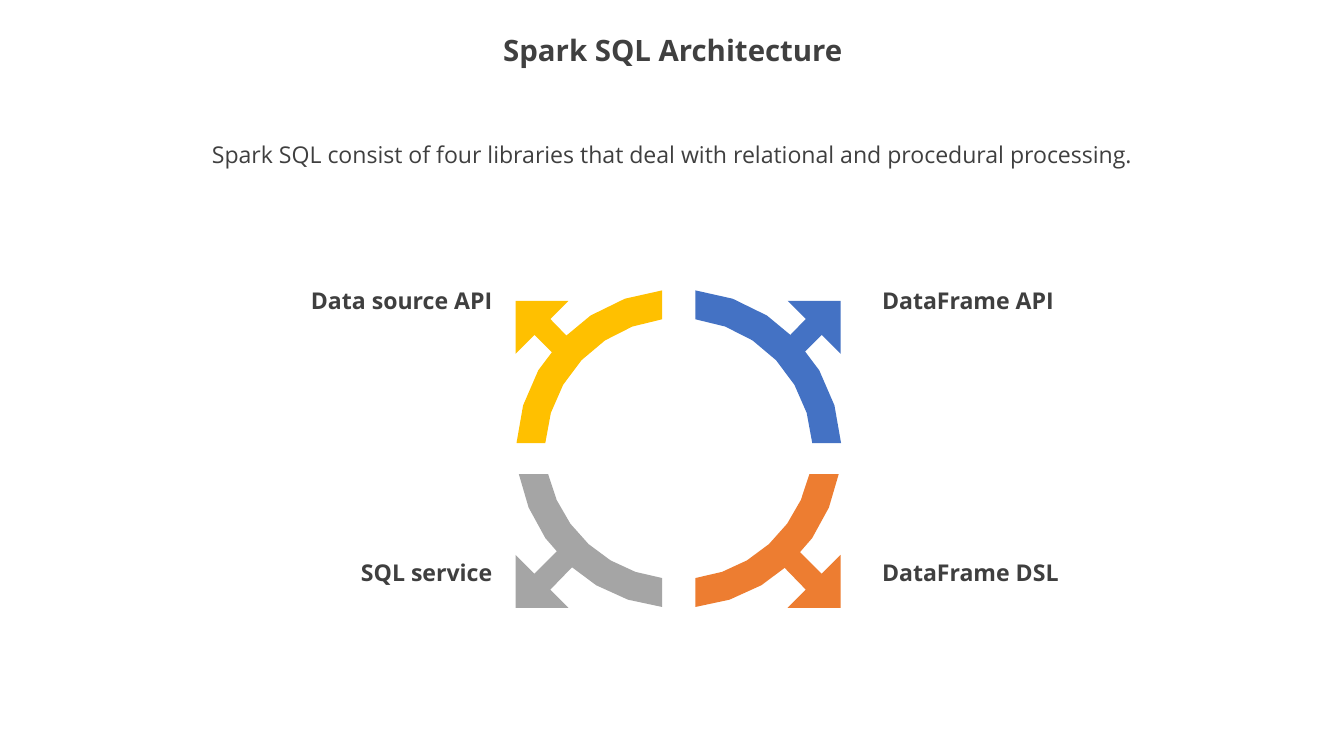
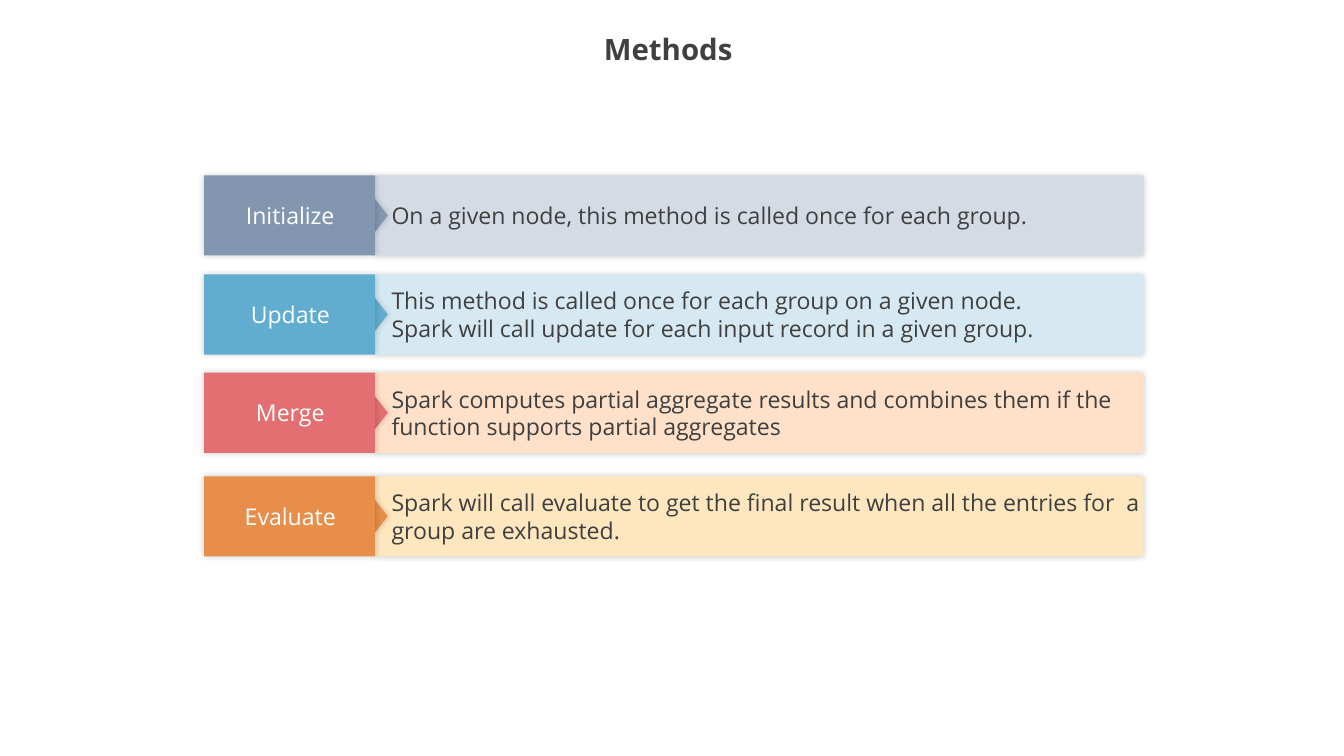
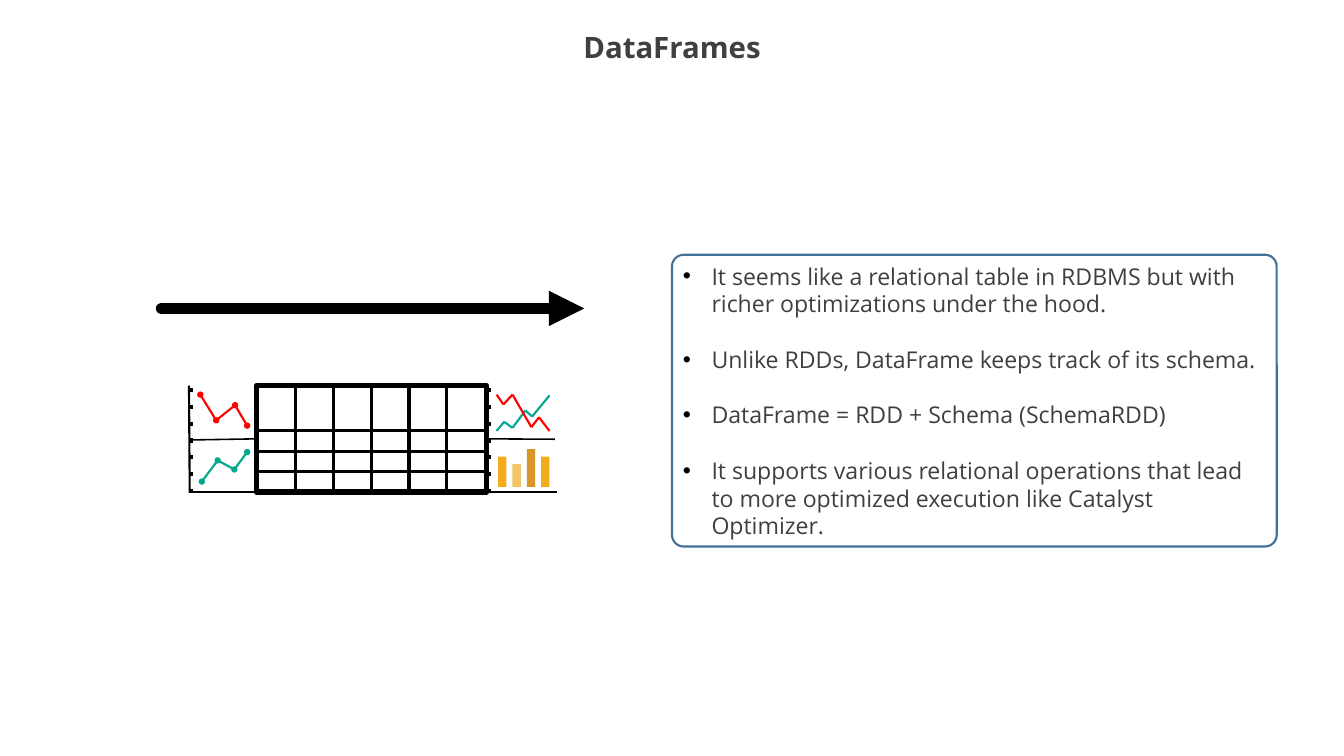
from itertools import pairwise
from math import acos, asin, cos, sin

from lxml import etree
from pptx import Presentation
from pptx import util as u
from pptx.dml.color import RGBColor
from pptx.enum import shapes, text
from pptx.oxml.ns import qn

PX = 9144
FONT = "Open Sans"
INK = RGBColor(0x40, 0x40, 0x40)
GREY = RGBColor(0x3F, 0x3F, 0x3F)
WHITE = RGBColor(0xFF, 0xFF, 0xFF)
BLACK = RGBColor(0, 0, 0)
RED = RGBColor(0xFF, 0, 0)
TEAL = RGBColor(0x02, 0xA7, 0x90)
EDGE = RGBColor(0x42, 0x71, 0x9B)
GOLD = RGBColor(0xFF, 0xC0, 0x00)
BLUE = RGBColor(0x44, 0x72, 0xC4)
RUST = RGBColor(0xED, 0x7D, 0x31)
ASH = RGBColor(0xA5, 0xA5, 0xA5)
SLATE = RGBColor(0x82, 0x96, 0xB0)
MIST = RGBColor(0xD5, 0xDB, 0xE5)
SKY = RGBColor(0x61, 0xAD, 0xCF)
ICE = RGBColor(0xD6, 0xE9, 0xF2)
ROSE = RGBColor(0xE3, 0x6F, 0x72)
PEACH = RGBColor(0xFF, 0xE0, 0xC9)
AMBER = RGBColor(0xE7, 0x8E, 0x4B)
CREAM = RGBColor(0xFE, 0xE7, 0xBE)
SUN = RGBColor(0xF5, 0xAC, 0x1C)
SAND = RGBColor(0xF4, 0xC6, 0x69)
OCHRE = RGBColor(0xDA, 0x96, 0x28)

LEFT, MID, RIGHT = text.PP_ALIGN.LEFT, text.PP_ALIGN.CENTER, text.PP_ALIGN.RIGHT
ROUND = shapes.MSO_SHAPE.ROUNDED_RECTANGLE
RECT = shapes.MSO_SHAPE.RECTANGLE
WEDGE = shapes.MSO_SHAPE.ISOSCELES_TRIANGLE
STRAIGHT = shapes.MSO_CONNECTOR.STRAIGHT

BASE = {"name": FONT, "size": u.Pt(22), "bold": False}
HEAD = {"size": u.Pt(28), "bold": True}
BOLD = {"bold": True}


def px(*vals):
    return [u.Emu(round(v * PX)) for v in vals]


def node(root, tag, **attrs):
    return etree.SubElement(root, qn(tag), attrs)


def apply(obj, fmt):
    for key, val in fmt.items():
        setattr(obj, key, val)


def write(shape, lines, ink=GREY, align=LEFT, ins=(10, 5, 10, 5),
          anchor=text.MSO_ANCHOR.MIDDLE, **font):
    frame = shape.text_frame
    sides = ("margin_left", "margin_top", "margin_right", "margin_bottom")
    apply(frame, {"word_wrap": True, "vertical_anchor": anchor,
                  **dict(zip(sides, px(*ins)))})
    frame.text = "\n".join(lines)
    for para in frame.paragraphs:
        para.alignment = align
        apply(para.runs[0].font, BASE | font)
        para.runs[0].font.color.rgb = ink
    return frame


def label(slide, box, words, **look):
    return write(slide.shapes.add_textbox(*px(*box)), [words], **look)


def title(slide, left, top, words):
    frame = label(slide, (left, top, 1780, 75), words, ink=INK, align=MID, **HEAD)
    frame.paragraphs[0].line_spacing = 0.9


def paint(shape, fill, edge=None, width=2):
    shape.shadow.inherit = False
    if fill is None:
        shape.fill.background()
    else:
        shape.fill.solid()
        shape.fill.fore_color.rgb = fill
    if edge is None:
        shape.line.fill.background()
    else:
        shape.line.color.rgb = edge
        shape.line.width = u.Pt(width)


def block(slide, kind, box, fill, adj=None, **edge):
    shape = slide.shapes.add_shape(kind, *px(*box))
    paint(shape, fill, **edge)
    if adj is not None:
        shape.adjustments[0] = adj
    return shape


def glow(shape):
    effect = shape._element.spPr.find(qn("a:effectLst"))
    shade = node(effect, "a:outerShdw", blurRad=str(6 * 12700), dist="0", dir="0",
                 algn="ctr", rotWithShape="0")
    color = node(shade, "a:srgbClr", val="000000")
    node(color, "a:alpha", val="20000")


def line(slide, start, end, ink=BLACK, width=2, dash=None, head=None, tail=None, cap=None):
    link = slide.shapes.add_connector(STRAIGHT, *px(*start, *end))
    link.line.color.rgb = ink
    link.line.width = u.Pt(width)
    ln = link.line._ln
    if cap:
        ln.set("cap", cap)
    if dash:
        node(ln, "a:prstDash", val=dash)
    if head:
        node(ln, "a:headEnd", type=head)
    if tail:
        node(ln, "a:tailEnd", type=tail)
    node(link._element.spPr, "a:effectLst")
    return link


def chain(slide, points, ink, dots=False):
    tip = "oval" if dots else None
    for i, (start, end) in enumerate(pairwise(points)):
        line(slide, start, end, ink, head=None if i else tip, tail=tip)


def outline(slide, points, fill):
    first, *rest = [px(*p) for p in points]
    path = slide.shapes.build_freeform(*first)
    path.add_line_segments(rest, close=True)
    paint(path.convert_to_shape(), fill)


def curve(mid, radius, signs, cut, steps=6):
    low, high = asin(cut / radius), acos(22 / radius)
    turns = [low + (high - low) * i / steps for i in range(steps + 1)]
    return [(mid[0] + signs[0] * radius * cos(t), mid[1] + signs[1] * radius * sin(t))
            for t in turns]


def quarter(slide, signs, fill):
    sx, sy = signs
    mid, cut, tip = ((898, 598), 12, 398) if sy < 0 else ((898, 589), 38, 804)
    outer, inner = (curve(mid, r, signs, cut) for r in (215, 177))
    outline(slide, outer + inner[::-1], fill)
    arrow = [(78, 57), (46, 24), (70, 0), (0, 0), (0, 70), (25, 45), (57, 77)]
    outline(slide, [(897 + sx * (215 - x), tip - sy * y) for x, y in arrow], fill)


def design(slide):
    title(slide, 0, 31, "Spark SQL Architecture")
    intro = block(slide, ROUND, (254, 152, 1270, 104), WHITE, 0.17)
    write(intro, ["Spark SQL consist of four libraries that deal with relational "
                  "and procedural processing."], align=MID)
    parts = [("Data source API", -1, -1, GOLD), ("DataFrame API", 1, -1, BLUE),
             ("DataFrame DSL", 1, 1, RUST), ("SQL service", -1, 1, ASH)]
    for name, sx, sy, fill in parts:
        quarter(slide, (sx, sy), fill)
        left, align = (320, RIGHT) if sx < 0 else (1157, LEFT)
        label(slide, (left, 554 + 180 * sy, 341, 47), name, align=align,
              anchor=text.MSO_ANCHOR.TOP, **BOLD)


def method(slide, top, name, lines, dark, pale):
    body = block(slide, ROUND, (496, top, 1017, 106), pale, 0)
    write(body, lines, ins=(22, 0, 0, 0))
    wedge = block(slide, WEDGE, (481, top + 44, 46, 18), dark)
    wedge.rotation = 90
    tag = block(slide, ROUND, (270, top, 226, 106), dark, 0)
    write(tag, [name], WHITE, MID, (17, 4, 15, 4))
    for shape in (body, wedge, tag):
        glow(shape)


def methods(slide):
    title(slide, -1, 30, "Methods ")
    rows = [
        (232, "Initialize",
         ["On a given node, this method is called once for each group."], SLATE, MIST),
        (363, "Update",
         ["This method is called once for each group on a given node.",
          "Spark will call update for each input record in a given group."], SKY, ICE),
        (493, "Merge",
         ["Spark computes partial aggregate results and combines them if the "
          "function supports partial aggregates"], ROSE, PEACH),
        (630, "Evaluate",
         ["Spark will call evaluate to get the final result when all the entries "
          "for  a group are exhausted."], AMBER, CREAM),
    ]
    for row in rows:
        method(slide, *row)


def grid(slide):
    frame = block(slide, RECT, (339, 510, 305, 141), None, edge=BLACK, width=5)
    for i in range(5):
        x = 391 + 50 * i
        rule = line(slide, (x, 510), (x, 651), width=3)
        if i == 2:
            rule.begin_connect(frame, 0)
            rule.end_connect(frame, 2)
    for y in range(570, 625, 27):
        line(slide, (339, y), (644, y), width=3)
    line(slide, (339, 581), (251, 582), width=1.5).begin_connect(frame, 1)
    line(slide, (734, 581), (644, 581), width=1.5).end_connect(frame, 3)


def charts(slide):
    corner = (250, 651)
    for end in ((737, 651), corner):
        line(slide, corner, end)
    line(slide, (251, 652), (250, 510))
    for x in (253, 647):
        line(slide, (x, 652), (x, 510), width=4, dash="dot")
    grid(slide)
    for i, (tall, fill) in enumerate([(40, SUN), (30, SAND), (50, OCHRE), (40, SUN)]):
        block(slide, RECT, (659 + 19 * i, 644 - tall, 11, tall), fill)
    chain(slide, [(265, 522), (286, 556), (311, 536), (327, 563)], RED, dots=True)
    chain(slide, [(267, 637), (288, 609), (310, 621), (327, 598)], TEAL, dots=True)
    chain(slide, [(657, 570), (667, 558), (678, 566), (695, 543), (704, 551), (727, 523)],
          TEAL)
    chain(slide, [(657, 522), (666, 535), (678, 522), (703, 565), (713, 552), (727, 570)],
          RED)


def bullets(slide, box, lines):
    card = block(slide, ROUND, box, WHITE, 0.04, edge=EDGE)
    frame = write(card, lines)
    indent = px(38)[0]
    for i, para in enumerate(frame.paragraphs):
        props = para._p.get_or_add_pPr()
        props.set("marL", str(indent))
        props.set("indent", str(-indent))
        color = node(props, "a:buClr")
        node(color, "a:srgbClr", val="000000")
        node(props, "a:buFont", typeface="Arial")
        node(props, "a:buChar", char="•")
        if i:
            para.space_before = u.Pt(26.5)


def frames(slide):
    title(slide, -1, 27, "DataFrames")
    line(slide, (214, 408), (773, 408), width=11.25, tail="triangle", cap="rnd")
    charts(slide)
    bullets(slide, (889, 337, 800, 386), [
        "It seems like a relational table in RDBMS but with richer optimizations "
        "under the hood.",
        "Unlike RDDs, DataFrame keeps track of its schema.",
        "DataFrame = RDD + Schema (SchemaRDD)",
        "It supports various relational operations that lead to more optimized "
        "execution like Catalyst Optimizer.",
    ])


def main():
    deck = Presentation()
    deck.slide_width, deck.slide_height = px(1778, 1000)
    for build in (design, methods, frames):
        build(deck.slides.add_slide(deck.slide_layouts[6]))
    deck.save("out.pptx")


if __name__ == "__main__":
    main()
